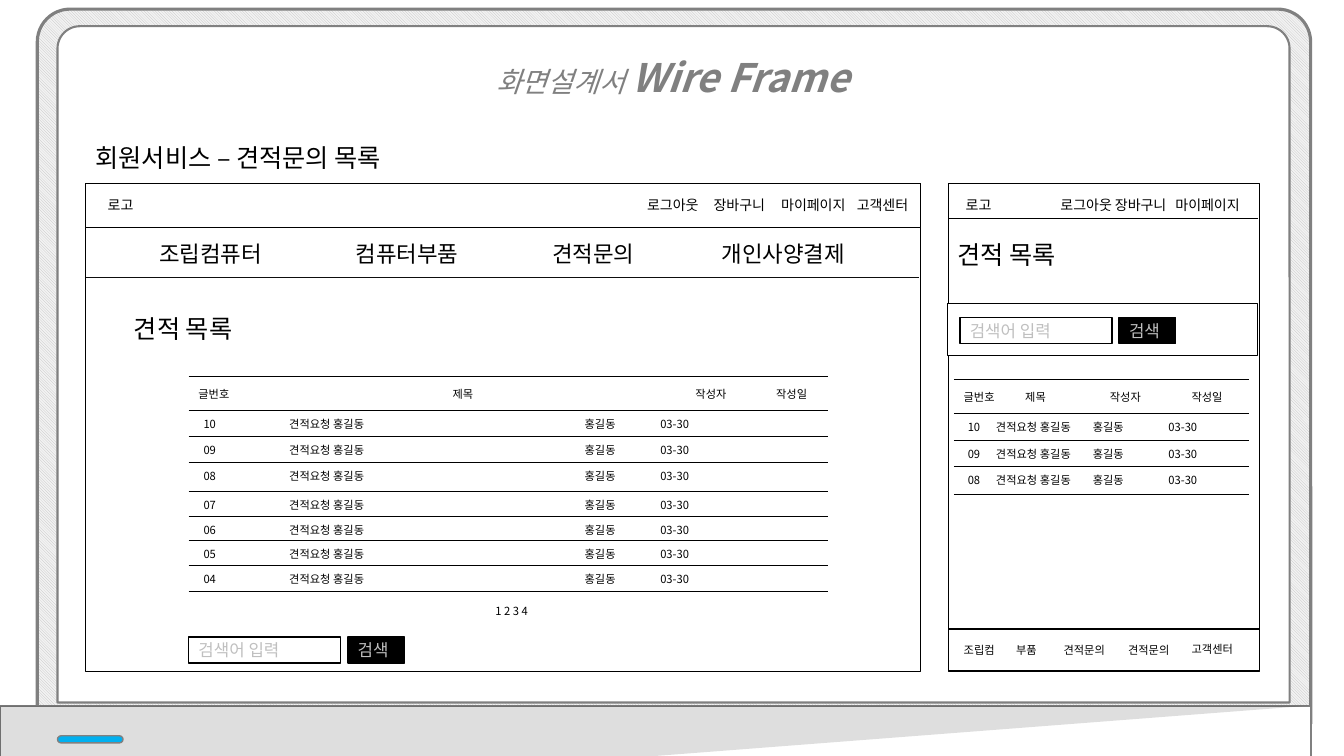
from lxml import etree
from pptx import Presentation
from pptx.dml.color import RGBColor
from pptx.enum.dml import MSO_PATTERN
from pptx.enum.shapes import MSO_CONNECTOR, MSO_SHAPE as SHAPE
from pptx.enum.text import MSO_ANCHOR, MSO_AUTO_SIZE, PP_ALIGN
from pptx.oxml.ns import qn
from pptx.util import Inches, Pt

FONT = "Noto Sans CJK KR"
BLACK, WHITE, GREY, PALE = "000000", "FFFFFF", "808080", "BFBFBF"

# left, top, width, height, rotation, corner, mirrored
HINGES = [
    (1.29, 6.17, 0.12, 1.97, 270, 0.193, False),
    (11.95, 6.17, 0.12, 1.97, 90, 0.193, True),
    (6.62, 2.8, 0.12, 8.7, 270, 0, False),
]
BASE = [(0.39, 7.21), (12.97, 7.21), (13.18, 7.5), (0.17, 7.5)]
BASE_SHADE = [(0.39, 7.18), (0.17, 7.5), (13.02, 7.22)]

FRAMES = [
    (0.85, 1.82, 8.28, 4.84), (0.85, 1.82, 8.28, 0.44),
    (9.41, 1.82, 3.08, 4.84), (9.41, 6.24, 3.08, 0.41), (9.4, 3.01, 3.07, 0.52),
]
SEARCH_BARS = [(1.87, 6.32), (9.52, 3.15)]

# text, left, top, width, height, size
LABELS = [
    ("회원서비스 – 견적문의 목록", 0.85, 1.36, 3.54, 0.4, 18),
    ("로고", 0.97, 1.9, 2.41, 0.27, 10),
    ("견적 목록", 1.23, 3.06, 2.29, 0.4, 18),
    ("로고", 9.48, 1.9, 0.52, 0.27, 10),
    ("견적 목록", 9.4, 2.33, 2.29, 0.4, 18),
]
# items, left, top, width, height, size, tab stops
MENUS = [
    (["조립컴퓨터", "컴퓨터부품", "견적문의", "개인사양결제"],
     1.48, 2.33, 7.65, 0.37, 16, [1.95, 3.9, 5.58]),
    (["로그아웃", "장바구니", "마이페이지", "고객센터"],
     6.32, 1.9, 2.9, 0.27, 10, [0.66, 1.33, 2.08]),
    (["로그아웃 장바구니", "마이페이지"], 10.42, 1.9, 2.06, 0.27, 10, [1.14]),
]
MOBILE_FOOTER = [
    ("조립컴", 9.46, 6.33), ("부품", 9.98, 6.33), ("견적문의", 10.45, 6.33),
    ("견적문의", 11.09, 6.33), ("고객센터", 11.72, 6.32),
]
ROW_CELLS = ["견적요청 홍길동", "홍길동", "03-30"]
LISTS = [
    {
        "span": (1.87, 8.21),
        "rules": [3.73, 4.07, 4.33, 4.59, 4.87, 5.12, 5.36, 5.61, 5.87],
        "header": [("글번호", 1.87), ("제목", 4.39), ("작성자", 6.8), ("작성일", 7.6)],
        "numbers": ["10", "09", "08", "07", "06", "05", "04"],
        "row_left": 1.92,
        "stops": [0.85, 3.78, 4.53],
    },
    {
        "span": (9.46, 12.39),
        "rules": [3.76, 4.1, 4.37, 4.63, 4.9],
        "header": [("글번호", 9.46), ("제목", 10.07), ("작성자", 10.91), ("작성일", 11.72)],
        "numbers": ["10", "09", "08"],
        "row_left": 9.5,
        "stops": [0.28, 1.24, 1.99],
    },
]


def rgb(value):
    return RGBColor.from_string(value)


def set_font(para, size, color):
    font = para.font
    font.size, font.name, font.color.rgb = Pt(size), FONT, rgb(color)
    east_asian = etree.SubElement(para._p.pPr.find(qn("a:defRPr")), qn("a:ea"))
    east_asian.set("typeface", FONT)


def style(shape, fill=None, line=None, width=1):
    shape.shadow.inherit = False
    if fill:
        shape.fill.solid()
        shape.fill.fore_color.rgb = rgb(fill)
    if line:
        shape.line.color.rgb = rgb(line)
        shape.line.width = Pt(width)
    else:
        shape.line.fill.background()
    return shape


def add_block(kind, area, fill=None, line=BLACK, width=1, corners=()):
    shape = page.shapes.add_shape(kind, *map(Inches, area))
    for index, corner in enumerate(corners):
        shape.adjustments[index] = corner
    return style(shape, fill, line, width)


def add_outline(points, fill, line=None, width=1):
    builder = page.shapes.build_freeform(*points[0], scale=Inches(1))
    builder.add_line_segments(points[1:], close=True)
    return style(builder.convert_to_shape(), fill, line, width)


def add_rule(left, right, top, color=BLACK):
    rule = page.shapes.add_connector(
        MSO_CONNECTOR.STRAIGHT, Inches(left), Inches(top), Inches(right), Inches(top))
    rule.line.color.rgb = rgb(color)
    rule.line.width = Pt(0.5)
    etree.SubElement(rule._element.spPr, qn("a:effectLst"))


def add_text(text, left, top, width, height, size, color=BLACK, stops=(), align=PP_ALIGN.LEFT):
    box = page.shapes.add_textbox(*map(Inches, (left, top, width, height)))
    box.text_frame.word_wrap = True
    box.text_frame.auto_size = MSO_AUTO_SIZE.SHAPE_TO_FIT_TEXT
    para = box.text_frame.paragraphs[0]
    para.text = text
    para.alignment = align
    if stops:
        tabs = etree.SubElement(para._p.get_or_add_pPr(), qn("a:tabLst"))
        for stop in stops:
            etree.SubElement(tabs, qn("a:tab"), pos=str(Inches(stop)), algn="l")
    set_font(para, size, color)
    return para


def add_laptop():
    lid = add_block(SHAPE.ROUND_2_SAME_RECTANGLE, (0.37, 0.09, 12.63, 7.09),
                    line=GREY, width=2.25, corners=(0.046, 0))
    lid.fill.patterned()
    lid.fill.pattern = MSO_PATTERN.LIGHT_DOWNWARD_DIAGONAL
    lid.fill.fore_color.rgb = rgb(PALE)
    lid.fill.back_color.rgb = rgb("F2F2F2")
    add_block(SHAPE.ROUND_2_SAME_RECTANGLE, (0.57, 0.26, 12.22, 6.71),
              WHITE, GREY, 1.5, (0.033, 0))
    for *area, rotation, corner, mirrored in HINGES:
        hinge = add_block(SHAPE.ROUND_2_SAME_RECTANGLE, area, line=GREY, width=1.5,
                          corners=(corner, 0))
        hinge.rotation = rotation
        if mirrored:
            hinge._element.spPr.find(qn("a:xfrm")).set("flipH", "1")
        hinge.fill.gradient()
        hinge.fill.gradient_angle = 0
        for stop, position, color in zip(hinge.fill.gradient_stops, (0.17, 0.59), (GREY, WHITE)):
            stop.position, stop.color.rgb = position, rgb(color)
    add_outline(BASE, WHITE, GREY, 1.5)
    shade = add_outline(BASE_SHADE, BLACK)
    shade_color = shade._element.spPr.find(qn("a:solidFill"))[0]
    etree.SubElement(shade_color, qn("a:alpha"), val="13000")
    add_block(SHAPE.ROUNDED_RECTANGLE, (0.57, 7.3, 0.65, 0.07), "00B0F0", GREY, 1, (0.5,))


def add_search_bar(left, top):
    for text, offset, width, fill in (("검색어 입력", 0, 1.51, WHITE), ("검색", 1.58, 0.56, BLACK)):
        field = add_block(SHAPE.RECTANGLE, (left + offset, top, width, 0.26), fill)
        field.text_frame.vertical_anchor = MSO_ANCHOR.MIDDLE
        para = field.text_frame.paragraphs[0]
        para.text = text
        para.alignment = PP_ALIGN.LEFT
        set_font(para, 12, PALE)


def add_list(table):
    left, right = table["span"]
    rules = table["rules"]
    for top in rules:
        add_rule(left, right, top)
    for text, column in table["header"]:
        add_text(text, column, rules[0] + 0.06, 0.6, 0.24, 8)
    for number, top in zip(table["numbers"], rules[1:]):
        add_text("\t".join([number] + ROW_CELLS), table["row_left"], top + 0.02,
                 right - table["row_left"], 0.24, 8, stops=table["stops"])


deck = Presentation()
deck.slide_width, deck.slide_height = Inches(13.33), Inches(7.5)
page = deck.slides.add_slide(deck.slide_layouts[6])

add_laptop()
title = add_text("화면설계서 ", 3.67, 0.25, 6, 0.81, 20, GREY, align=PP_ALIGN.CENTER)
title.line_spacing = 1.5
title.font.italic = True
name = title.add_run()
name.text = "Wire Frame"
name.font.size, name.font.bold = Pt(28), True

for frame in FRAMES:
    add_block(SHAPE.RECTANGLE, frame, WHITE)
add_rule(0.85, 9.11, 2.75, "0D0D0D")
add_rule(9.41, 12.48, 2.17)
for label in LABELS:
    add_text(*label)
for items, *place, stops in MENUS:
    add_text("\t".join(items), *place, stops=stops)
for text, left, top in MOBILE_FOOTER:
    add_text(text, left, top, 0.75, 0.24, 8)
for table in LISTS:
    add_list(table)
add_text("1 2 3 4", 3.79, 5.95, 2.57, 0.24, 8, align=PP_ALIGN.CENTER)
for corner in SEARCH_BARS:
    add_search_bar(*corner)

deck.save("out.pptx")
